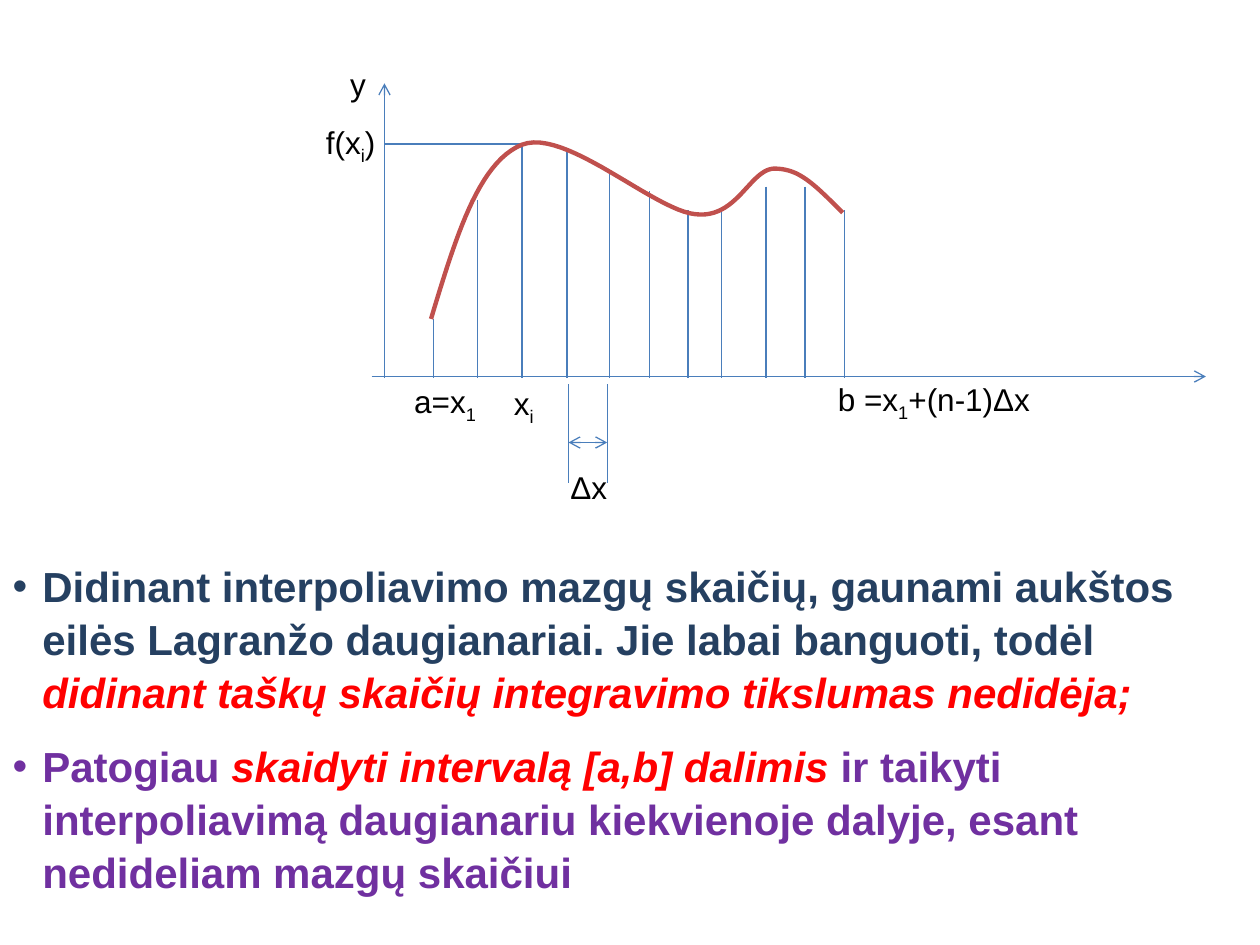
from lxml import etree
from pptx import Presentation
from pptx.dml.color import RGBColor
from pptx.enum.shapes import MSO_CONNECTOR as Connector
from pptx.enum.text import MSO_ANCHOR as Anchor, MSO_AUTO_SIZE as AutoSize
from pptx.oxml.ns import qn
from pptx.util import Cm, Pt

BLUE = RGBColor(0x4A, 0x7E, 0xBB)
CRIMSON = RGBColor(0xC0, 0x50, 0x4D)
NAVY = RGBColor(0x25, 0x40, 0x61)
PURPLE = RGBColor(0x70, 0x30, 0xA0)
RED = RGBColor(0xFF, 0x00, 0x00)
BLACK = RGBColor(0x00, 0x00, 0x00)

FONT = "Arial"
AXIS_Y = 7.62
CURVE_STEPS = 24

NODES = [
    (8.74, 6.43), (9.63, 4.04), (10.52, 2.92), (11.43, 3.05),
    (12.29, 3.45), (13.09, 3.86), (13.87, 4.24), (14.55, 4.24),
    (15.44, 3.76), (16.23, 3.76), (17.02, 4.24),
]
CURVE_START = (8.69, 6.43)
CURVE_SEGMENTS = [
    ((9.17, 4.85), (9.63, 3.28), (10.52, 2.92)),
    ((11.4, 2.57), (13.18, 4.24), (14.02, 4.32)),
    ((14.86, 4.42), (15.11, 3.43), (15.6, 3.4)),
    ((16.1, 3.4), (16.38, 3.68), (16.99, 4.29)),
]
LABELS = [
    (6.81, 1.19, 0.84, 1.02, ["y"]),
    (6.32, 2.36, 1.98, 1.12, ["f(x", "i", ")"]),
    (8.1, 7.57, 1.98, 1.12, ["a=x", "1"]),
    (10.11, 7.62, 0.99, 1.12, ["x", "i"]),
    (16.64, 7.54, 4.88, 1.12, ["b =x", "1", "+(n-1)Δx"]),
    (11.25, 9.32, 1.6, 1.02, ["Δx"]),
]
BULLETS = [
    (NAVY, [
        ("Didinant interpoliavimo mazgų skaičių, gaunami aukštos eilės "
         "Lagranžo daugianariai. Jie labai banguoti, todėl ", False),
        ("didinant taškų skaičių integravimo tikslumas nedidėja;", True),
    ]),
    (PURPLE, [
        ("Patogiau ", False),
        ("skaidyti intervalą [a,b] dalimis ", True),
        ("ir taikyti interpoliavimą daugianariu kiekvienoje dalyje, "
         "esant nedideliam mazgų skaičiui", False),
    ]),
]


def add_line(page, start, end, arrows=()):
    line = page.shapes.add_connector(
        Connector.STRAIGHT, *(Cm(value) for value in (*start, *end)))
    line.line.color.rgb = BLUE
    line.line.width = Pt(0.75)
    properties = line._element.spPr
    outline = properties.find(qn("a:ln"))
    for end_name in arrows:
        etree.SubElement(outline, qn(f"a:{end_name}"), type="arrow")
    etree.SubElement(properties, qn("a:effectLst"))


def bezier_points(start, segments):
    points = []
    for first, second, end in segments:
        for step in range(1, CURVE_STEPS + 1):
            t = step / CURVE_STEPS
            weights = ((1 - t) ** 3, 3 * t * (1 - t) ** 2,
                       3 * t ** 2 * (1 - t), t ** 3)
            corners = (start, first, second, end)
            points.append(tuple(
                Cm(sum(weight * corner[axis]
                       for weight, corner in zip(weights, corners)))
                for axis in (0, 1)))
        start = end
    return points


def add_curve(page):
    builder = page.shapes.build_freeform(*(Cm(value) for value in CURVE_START))
    builder.add_line_segments(
        bezier_points(CURVE_START, CURVE_SEGMENTS), close=False)
    curve = builder.convert_to_shape()
    curve.shadow.inherit = False
    curve.fill.background()
    curve.line.color.rgb = CRIMSON
    curve.line.width = Pt(2.5)


def add_span(para, text, size, color):
    span = para.add_run()
    span.text = text
    span.font.name = FONT
    span.font.size = Pt(size)
    span.font.color.rgb = color
    return span


def add_label(page, left, top, width, height, parts):
    box = page.shapes.add_textbox(Cm(left), Cm(top), Cm(width), Cm(height))
    box.text_frame.word_wrap = True
    para = box.text_frame.paragraphs[0]
    for index, part in enumerate(parts):
        span = add_span(para, part, 18, BLACK)
        if index == 1:
            span._r.get_or_add_rPr().set("baseline", "-25000")


def set_bullet(para, color):
    properties = para._p.get_or_add_pPr()
    properties.set("marL", str(Cm(0.6)))
    properties.set("indent", str(-Cm(0.6)))
    bullet_color = etree.SubElement(properties, qn("a:buClr"))
    etree.SubElement(bullet_color, qn("a:srgbClr"), val=str(color))
    etree.SubElement(properties, qn("a:buFont"), typeface=FONT)
    etree.SubElement(properties, qn("a:buChar"), char="•")


def fill_body(body):
    body.left, body.top = Cm(0), Cm(11.13)
    body.width, body.height = Cm(25.4), Cm(6.78)
    frame = body.text_frame
    frame.word_wrap = True
    frame.auto_size = AutoSize.NONE
    frame.vertical_anchor = Anchor.TOP
    for index, (color, parts) in enumerate(BULLETS):
        para = frame.add_paragraph() if index else frame.paragraphs[0]
        set_bullet(para, color)
        para.line_spacing = 1.05
        para.space_before = Pt(0)
        para.space_after = Pt(12)
        for text, stressed in parts:
            span = add_span(para, text, 24, RED if stressed else color)
            span.font.bold = True
            span.font.italic = stressed


def add_graph(page):
    add_line(page, (7.75, AXIS_Y), (7.75, 1.68), ["tailEnd"])
    add_line(page, (7.49, 7.59), (24.31, 7.59), ["tailEnd"])
    for x, top in NODES:
        add_line(page, (x, top), (x, AXIS_Y))
    add_line(page, (7.75, 2.9), (10.52, 2.9))
    add_curve(page)
    for x in (11.46, 12.24):
        add_line(page, (x, 7.75), (x, 9.73))
    add_line(page, (11.46, 8.92), (12.24, 8.92), ["headEnd", "tailEnd"])
    for label in LABELS:
        add_label(page, *label)


def main():
    deck = Presentation()
    deck.slide_width, deck.slide_height = Cm(25.4), Cm(19.05)
    page = deck.slides.add_slide(deck.slide_layouts[1])
    title = page.shapes.title._element
    title.getparent().remove(title)
    fill_body(page.placeholders[1])
    add_graph(page)
    deck.save("out.pptx")


if __name__ == "__main__":
    main()
